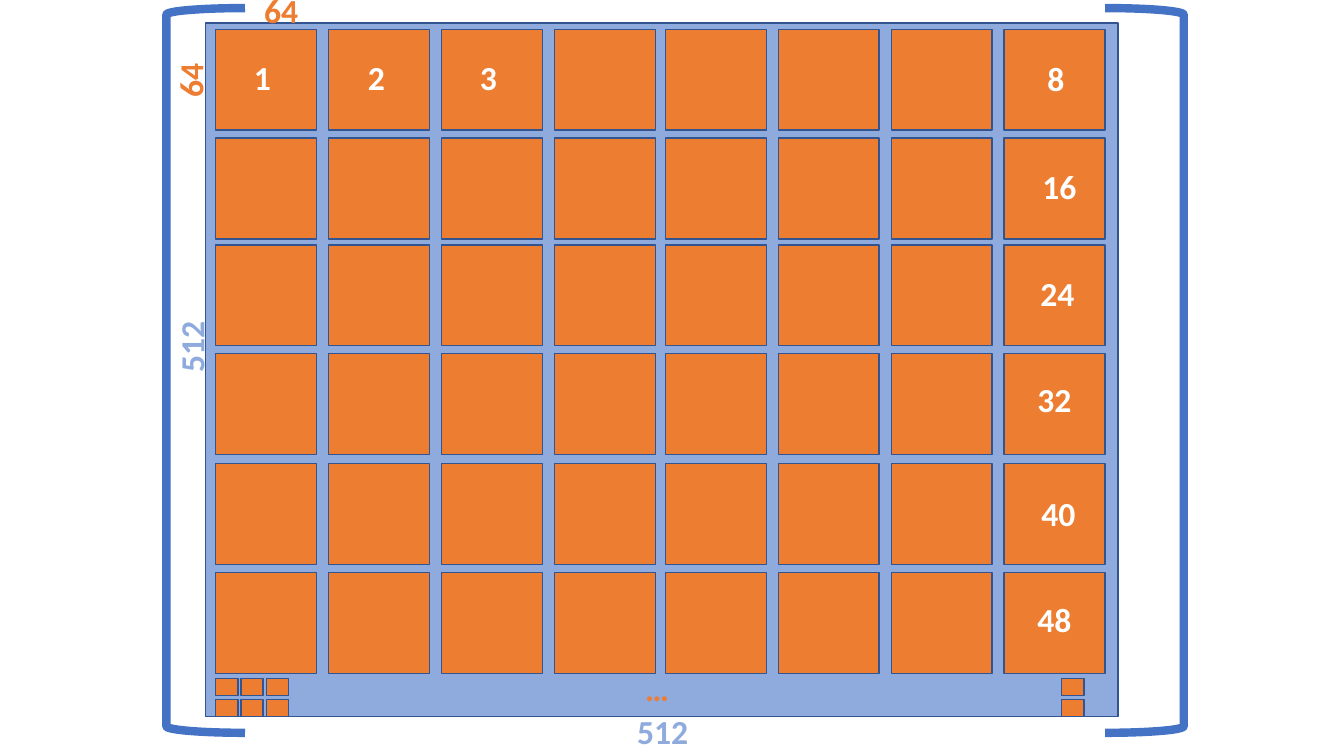
import pptx
import pptx.util
import pptx.dml.color
import pptx.enum.shapes
import pptx.enum.text

SLIDE = (13.33, 7.5)
COLS = (2.14, 3.26, 4.38, 5.5, 6.6, 7.72, 8.84, 9.96)
ROWS = (0.29, 1.37, 2.43, 3.51, 4.6, 5.68)
CELL = 1
IMAGE = (2.04, 0.23, 9.05, 6.88)
BRACKETS = [(1.65, 0), (10.96, 180)]
BRACKET_TOP, BRACKET_SIZE = 0.08, (0.78, 7.19)

MINI_LEFT, MINI_STEP = 2.14, 0.25
MINI_COLS = [MINI_LEFT + MINI_STEP * i for i in range(3)] + [10.53]
MINI_ROWS = (6.73, 6.94)
MINI_SIZE = (0.22, 0.17)

SIZE_LABELS = [
    ("512", "image", (6.22, 7, 2.43, 0.5), 0),
    ("512", "image", (0.68, 2.33, 2.43, 0.5), 270),
    ("…", "patch", (6.3, 6.58, 0.75, 0.5), 0),
    ("64", "patch", (2.52, -0.15, 0.59, 0.5), 0),
    ("64", "patch", (1.59, 0.52, 0.59, 0.5), 270),
]
PATCH_NUMBERS = [
    ("1", 0, 0, 0.28, 0.23, 0.25, 0.5),
    ("2", 1, 0, 0.29, 0.23, 0.25, 0.5),
    ("3", 2, 0, 0.28, 0.23, 0.25, 0.91),
    ("8", 7, 0, 0.33, 0.24, 0.25, 0.91),
    ("16", 7, 1, 0.28, 0.23, 0.81, 0.91),
    ("24", 7, 2, 0.26, 0.23, 0.98, 0.91),
    ("32", 7, 3, 0.23, 0.2, 0.98, 0.91),
    ("40", 7, 4, 0.27, 0.24, 0.98, 0.91),
    ("48", 7, 5, 0.23, 0.21, 0.98, 0.91),
]

THEME = {
    "image": "8FAADC",
    "patch": "ED7D31",
    "number": "FFFFFF",
    "outline": "325491",
    "bracket": "4472C4",
    "outline_width": 1,
    "bracket_width": 6,
    "font": {"name": "Calibri", "size": pptx.util.Pt(24), "bold": True},
}
SHAPE = pptx.enum.shapes.MSO_SHAPE


def color(key):
    return pptx.dml.color.RGBColor.from_string(THEME[key])


def inches(box):
    return [pptx.util.Inches(v) for v in box]


def add_shape(s, kind, box, line="outline", fill=None, rotation=0):
    sp = s.shapes.add_shape(kind, *inches(box))
    sp.shadow.inherit = False
    sp.rotation = rotation
    if fill:
        sp.fill.solid()
        sp.fill.fore_color.rgb = color(fill)
    else:
        sp.fill.background()
    sp.line.color.rgb = color(line)
    sp.line.width = pptx.util.Pt(THEME[line + "_width"])


def add_label(s, text, key, box, rotation=0):
    sp = s.shapes.add_textbox(*inches(box))
    sp.rotation = rotation
    tf = sp.text_frame
    tf.word_wrap = True
    tf.auto_size = pptx.enum.text.MSO_AUTO_SIZE.SHAPE_TO_FIT_TEXT
    r = tf.paragraphs[0].add_run()
    r.text = text
    for name, value in THEME["font"].items():
        setattr(r.font, name, value)
    r.font.color.rgb = color(key)


def main():
    prs = pptx.Presentation()
    prs.slide_width, prs.slide_height = inches(SLIDE)
    s = prs.slides.add_slide(prs.slide_layouts[6])

    for left, rotation in BRACKETS:
        add_shape(s, SHAPE.LEFT_BRACKET, (left, BRACKET_TOP, *BRACKET_SIZE),
                  line="bracket", rotation=rotation)
    add_shape(s, SHAPE.RECTANGLE, IMAGE, fill="image")

    grids = [(COLS, ROWS, (CELL, CELL)), (MINI_COLS, MINI_ROWS, MINI_SIZE)]
    for cols, rows, size in grids:
        for top in rows:
            for left in cols:
                add_shape(s, SHAPE.RECTANGLE, (left, top, *size), fill="patch")

    for text, key, box, rotation in SIZE_LABELS:
        add_label(s, text, key, box, rotation)
    for text, col, row, dx, dy, width, height in PATCH_NUMBERS:
        add_label(s, text, "number",
                  (COLS[col] + dx, ROWS[row] + dy, width, height))

    prs.save("out.pptx")


if __name__ == "__main__":
    main()
